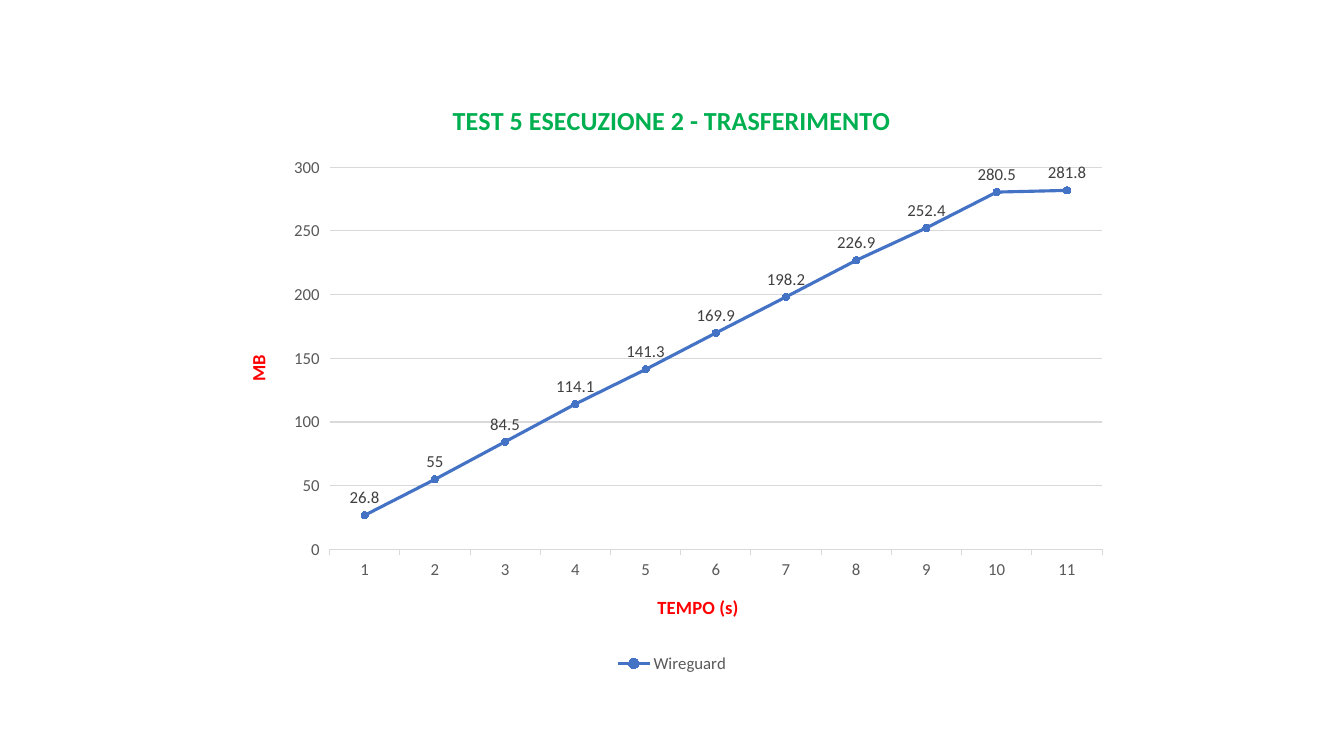
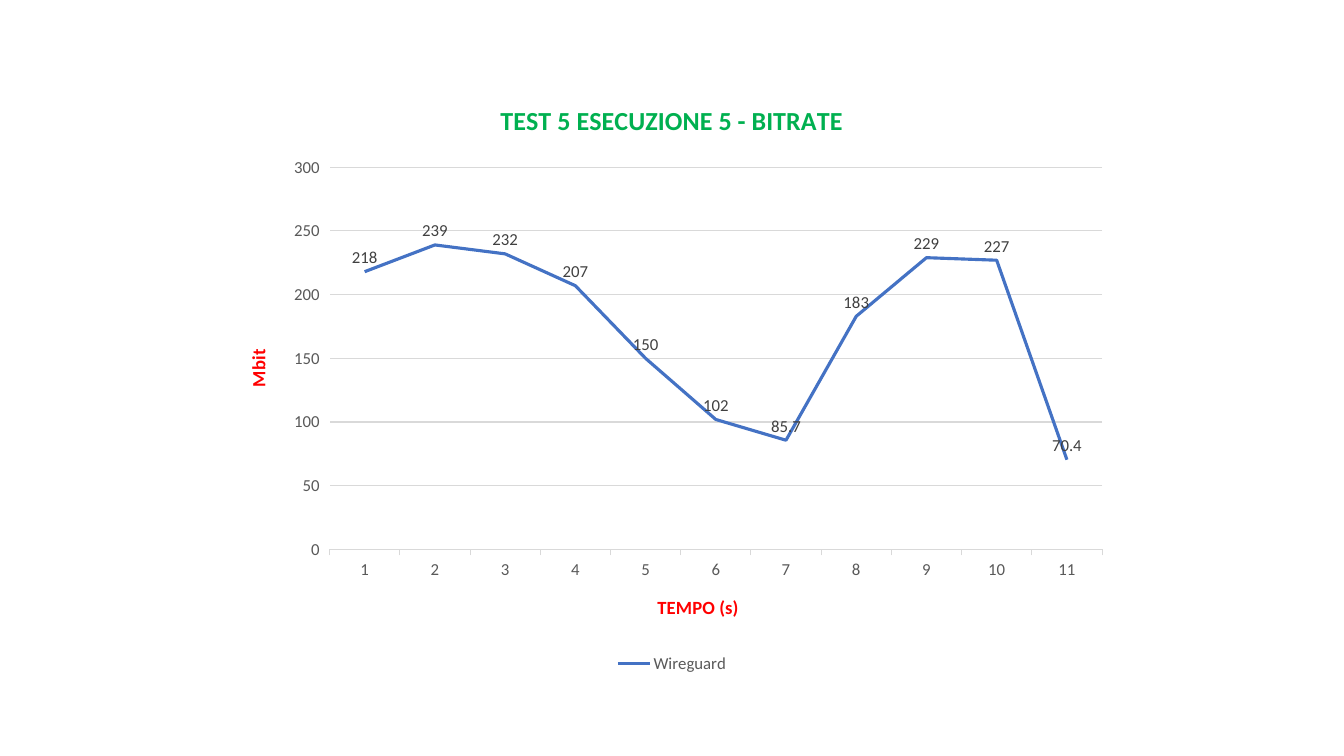
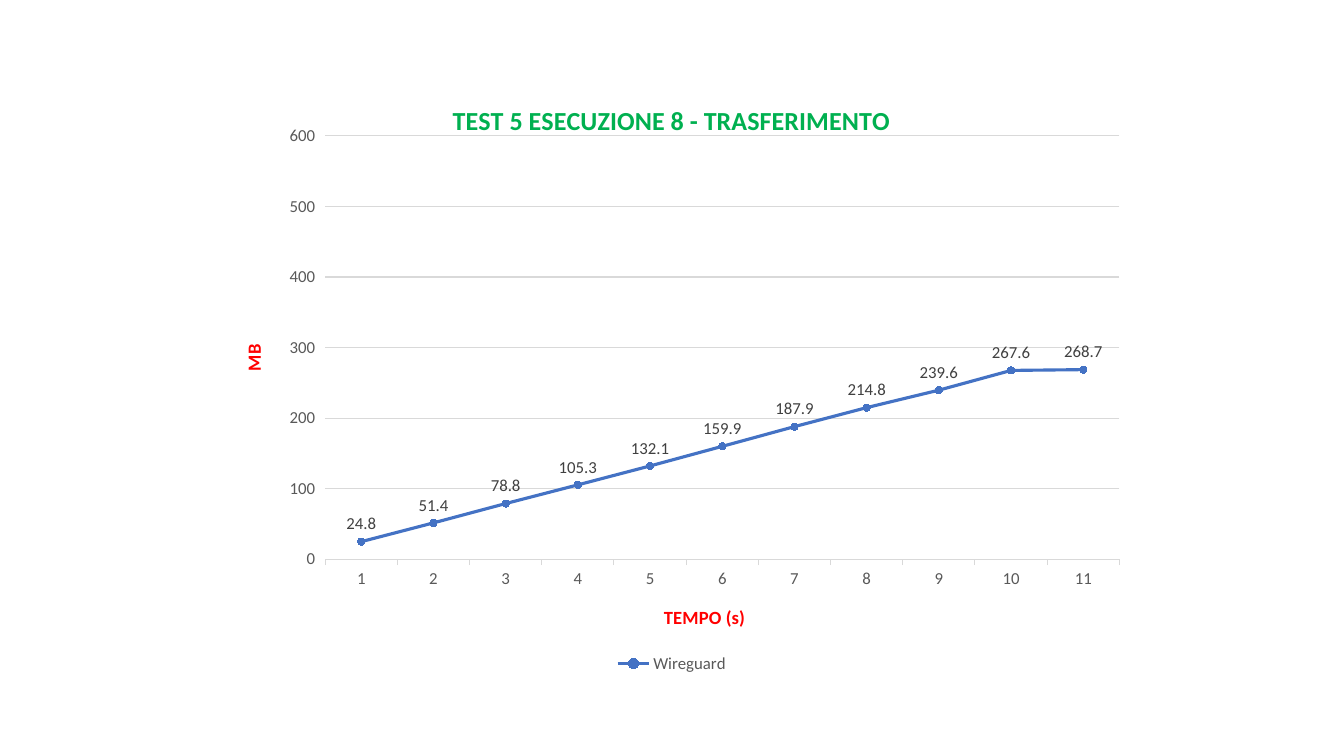
import pptx
import pptx.util
import pptx.chart.data
import pptx.dml.color
import pptx.enum.chart
import pptx.oxml

Pt = pptx.util.Pt
Kind = pptx.enum.chart.XL_CHART_TYPE

COLORS = {
    "title": "00B050",
    "axis_title": "FF0000",
    "text": "595959",
    "value": "404040",
    "rule": "D9D9D9",
    "series": "4472C4",
    "page": "FFFFFF",
}
FONT = "Calibri"
TITLE_SIZE, AXIS_TITLE_SIZE, LABEL_SIZE = 18.6, 13.3, 11.97
CHART_BOX = (160, 57, 640, 427)
SECONDS = [str(second) for second in range(1, 12)]

TESTS = [
    dict(title="TEST 5 ESECUZIONE 2 - TRASFERIMENTO", unit="MB", minimum=0,
         values=[26.8, 55, 84.5, 114.1, 141.3, 169.9, 198.2, 226.9, 252.4, 280.5, 281.8]),
    dict(title="TEST 5 ESECUZIONE 5 - BITRATE", unit="Mbit", kind=Kind.LINE,
         values=[218, 239, 232, 207, 150, 102, 85.7, 183, 229, 227, 70.4]),
    dict(title="TEST 5 ESECUZIONE 8 - TRASFERIMENTO", unit="MB", minimum=0, maximum=600,
         plot=(0.113, 0.094, 0.887, 0.708),
         values=[24.8, 51.4, 78.8, 105.3, 132.1, 159.9, 187.9, 214.8, 239.6, 267.6, 268.7]),
]


def rgb(name):
    return pptx.dml.color.RGBColor.from_string(COLORS[name])


def style_font(font, size, color, bold=False):
    font.name = FONT
    font.size = Pt(size)
    font.bold = bold
    font.color.rgb = rgb(color)


def style_line(line, color, width):
    line.color.rgb = rgb(color)
    line.width = Pt(width)


def fill_title(title, text, size, color):
    para = title.text_frame.paragraphs[0]
    para.text = text
    style_font(para.font, size, color, bold=True)


def style_axis(axis, title):
    fill_title(axis.axis_title, title, AXIS_TITLE_SIZE, "axis_title")
    axis.major_tick_mark = pptx.enum.chart.XL_TICK_MARK.OUTSIDE
    axis.minor_tick_mark = pptx.enum.chart.XL_TICK_MARK.NONE
    style_font(axis.tick_labels.font, LABEL_SIZE, "text")


def style_series(series, marked):
    series.smooth = False
    style_line(series.format.line, "series", 2.25)
    marker = series.marker
    if marked:
        marker.style = pptx.enum.chart.XL_MARKER_STYLE.CIRCLE
        marker.size = 5
        marker.format.fill.solid()
        marker.format.fill.fore_color.rgb = rgb("series")
        style_line(marker.format.line, "series", 0.75)
    else:
        marker.style = pptx.enum.chart.XL_MARKER_STYLE.NONE
    labels = series.data_labels
    labels.show_value = True
    labels.position = pptx.enum.chart.XL_LABEL_POSITION.ABOVE
    style_font(labels.font, LABEL_SIZE, "value")


def place_plot(chart, fractions):
    plot_area = chart.element.chart.plotArea
    for layout in plot_area.findall(pptx.oxml.ns.qn("c:layout")):
        plot_area.remove(layout)
    sides = "".join(f'<c:{side} val="{fraction}"/>'
                    for side, fraction in zip("xywh", fractions))
    plot_area.insert(0, pptx.oxml.parse_xml(
        f'<c:layout {pptx.oxml.ns.nsdecls("c")}><c:manualLayout>'
        '<c:layoutTarget val="inner"/><c:xMode val="edge"/><c:yMode val="edge"/>'
        f'{sides}</c:manualLayout></c:layout>'))


def add_test_chart(page, box, title, unit, values, kind=Kind.LINE_MARKERS,
                   minimum=None, maximum=None, plot=None):
    data = pptx.chart.data.CategoryChartData()
    data.categories = SECONDS
    data.add_series("Wireguard", values)
    chart = page.shapes.add_chart(kind, *map(Pt, box), data).chart
    chart.font.name = FONT
    chart.font.size = Pt(10)
    fill_title(chart.chart_title, title, TITLE_SIZE, "title")

    style_axis(chart.category_axis, "TEMPO (s)")
    style_line(chart.category_axis.format.line, "rule", 0.75)
    scale = chart.value_axis
    style_axis(scale, unit)
    scale.format.line.fill.background()
    scale.minimum_scale = minimum
    scale.maximum_scale = maximum
    style_line(scale.major_gridlines.format.line, "rule", 0.75)

    chart.has_legend = True
    chart.legend.position = pptx.enum.chart.XL_LEGEND_POSITION.BOTTOM
    chart.legend.include_in_layout = False
    style_font(chart.legend.font, LABEL_SIZE, "text")

    chart.plots[0].vary_by_categories = False
    style_series(chart.plots[0].series[0], kind == Kind.LINE_MARKERS)
    if plot:
        place_plot(chart, plot)


def main():
    deck = pptx.Presentation()
    deck.slide_width, deck.slide_height = Pt(960), Pt(540)
    background = deck.slide_master.background.fill
    background.solid()
    background.fore_color.rgb = rgb("page")
    for test in TESTS:
        page = deck.slides.add_slide(deck.slide_layouts[6])
        add_test_chart(page, CHART_BOX, **test)
    deck.save("out.pptx")


if __name__ == "__main__":
    main()
